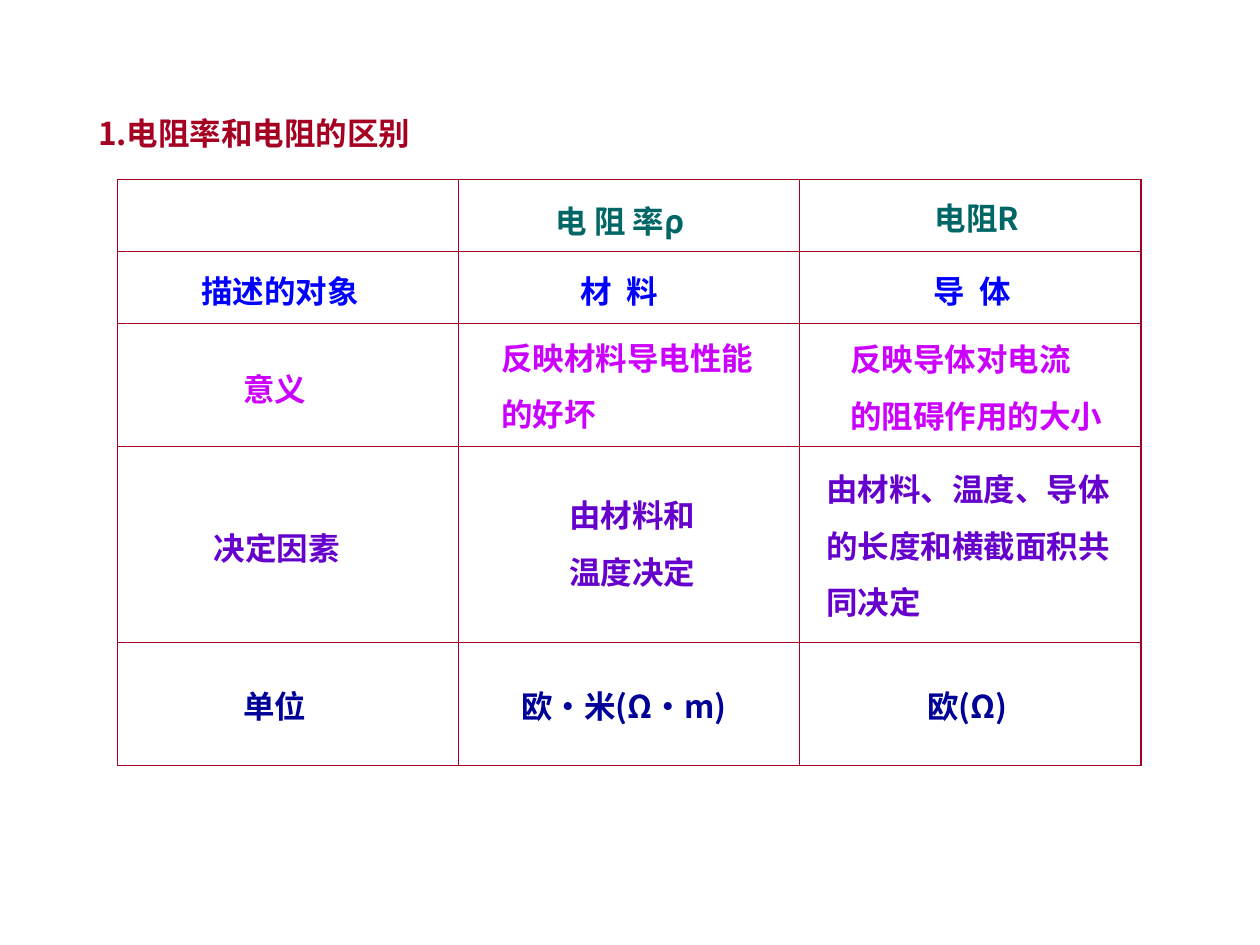
from lxml.etree import SubElement
from pptx import Presentation
from pptx.dml.color import RGBColor
from pptx.enum.text import MSO_AUTO_SIZE as AutoSize
from pptx.oxml.ns import qn
from pptx.util import Cm, Pt

FONT = "Noto Sans CJK SC"
COLOURS = {
    "title": "A50021",
    "border": "A50021",
    "header": "006666",
    "object": "0000FF",
    "meaning": "CC00FF",
    "factor": "6600CC",
    "unit": "000099",
}

# Grid of the comparison table, in cm
GRID_LEFT, GRID_TOP = 2.36, 3.61
COLUMN_WIDTH, COLUMN_COUNT = 6.88, 3
ROW_HEIGHTS = [1.45, 1.45, 2.49, 3.94, 2.49]
OUTER_LINE, INNER_LINE = Pt(0.75), Pt(0.45)

# Height of a one-line label and of each further line, in cm
FIRST_LINE, NEXT_LINE = 1.4, 1.14

# Entries by row: left, top, width in cm, lines, letter spacing in points
ENTRIES = {
    "title": [(1.73, 1.8, 10.08, ["1.电阻率和电阻的区别"], 0)],
    "header": [
        (10.95, 3.56, 4.17, ["电 阻 率ρ"], 0),
        (18.59, 3.51, 4.17, ["电阻R"], 0),
    ],
    "object": [
        (3.81, 4.98, 5.23, ["描述的对象"], 0),
        (11.46, 4.98, 3.33, ["材 料"], 2),
        (18.57, 4.98, 3.81, ["导 体"], 2),
    ],
    "meaning": [
        (4.65, 6.96, 2.72, ["意义"], 0),
        (9.86, 6.32, 7.54, ["反映材料导电性能", "的好坏"], 0),
        (16.89, 6.35, 7.19, ["反映导体对电流", "的阻碍作用的大小"], 0),
    ],
    "factor": [
        (4.06, 10.16, 4.37, ["决定因素"], 0),
        (11.23, 9.5, 5.23, ["由材料和", "温度决定"], 0),
        (16.41, 8.97, 7.9, ["由材料、温度、导体", "的长度和横截面积共", "同决定"], 0),
    ],
    "unit": [
        (4.65, 13.34, 2.69, ["单位"], 0),
        (10.26, 13.34, 7.01, ["欧·米(Ω·m)"], 0),
        (18.44, 13.34, 3.53, ["欧(Ω)"], 0),
    ],
}


def set_border(cell, side, width):
    line = SubElement(cell._tc.get_or_add_tcPr(), qn(f"a:ln{side}"), w=str(int(width)))
    fill = SubElement(line, qn("a:solidFill"))
    SubElement(fill, qn("a:srgbClr"), val=COLOURS["border"])


def add_grid(slide):
    row_count = len(ROW_HEIGHTS)
    frame = slide.shapes.add_table(
        row_count, COLUMN_COUNT, Cm(GRID_LEFT), Cm(GRID_TOP),
        Cm(COLUMN_WIDTH * COLUMN_COUNT), Cm(sum(ROW_HEIGHTS)))
    grid = frame.table
    grid.first_row = grid.horz_banding = False
    for column in grid.columns:
        column.width = Cm(COLUMN_WIDTH)
    for r, height in enumerate(ROW_HEIGHTS):
        grid.rows[r].height = Cm(height)
        for c in range(COLUMN_COUNT):
            cell = grid.cell(r, c)
            on_edge = {"L": c == 0, "R": c == COLUMN_COUNT - 1,
                       "T": r == 0, "B": r == row_count - 1}
            for side, outer in on_edge.items():
                set_border(cell, side, OUTER_LINE if outer else INNER_LINE)
            cell.fill.background()


def add_label(slide, left, top, width, lines, spacing, colour):
    height = FIRST_LINE + NEXT_LINE * (len(lines) - 1)
    label = slide.shapes.add_textbox(Cm(left), Cm(top), Cm(width), Cm(height))
    frame = label.text_frame
    frame.word_wrap = True
    frame.auto_size = AutoSize.SHAPE_TO_FIT_TEXT
    for i, line in enumerate(lines):
        paragraph = frame.paragraphs[0] if i == 0 else frame.add_paragraph()
        paragraph.line_spacing = 1.5
        run = paragraph.add_run()
        run.text = line
        font = run.font
        font.size, font.bold, font.name = Pt(18), True, FONT
        font.color.rgb = RGBColor.from_string(colour)
        properties = run._r.get_or_add_rPr()
        SubElement(properties, qn("a:ea"), typeface=FONT)
        if spacing:
            properties.set("spc", str(spacing * 100))


def main():
    prs = Presentation()
    prs.slide_width, prs.slide_height = Cm(25.4), Cm(19.05)
    slide = prs.slides.add_slide(prs.slide_layouts[6])

    # Table lines
    add_grid(slide)

    # Title and the entries placed over the cells
    for part, entries in ENTRIES.items():
        for left, top, width, lines, spacing in entries:
            add_label(slide, left, top, width, lines, spacing, COLOURS[part])

    prs.save("out.pptx")


if __name__ == "__main__":
    main()
